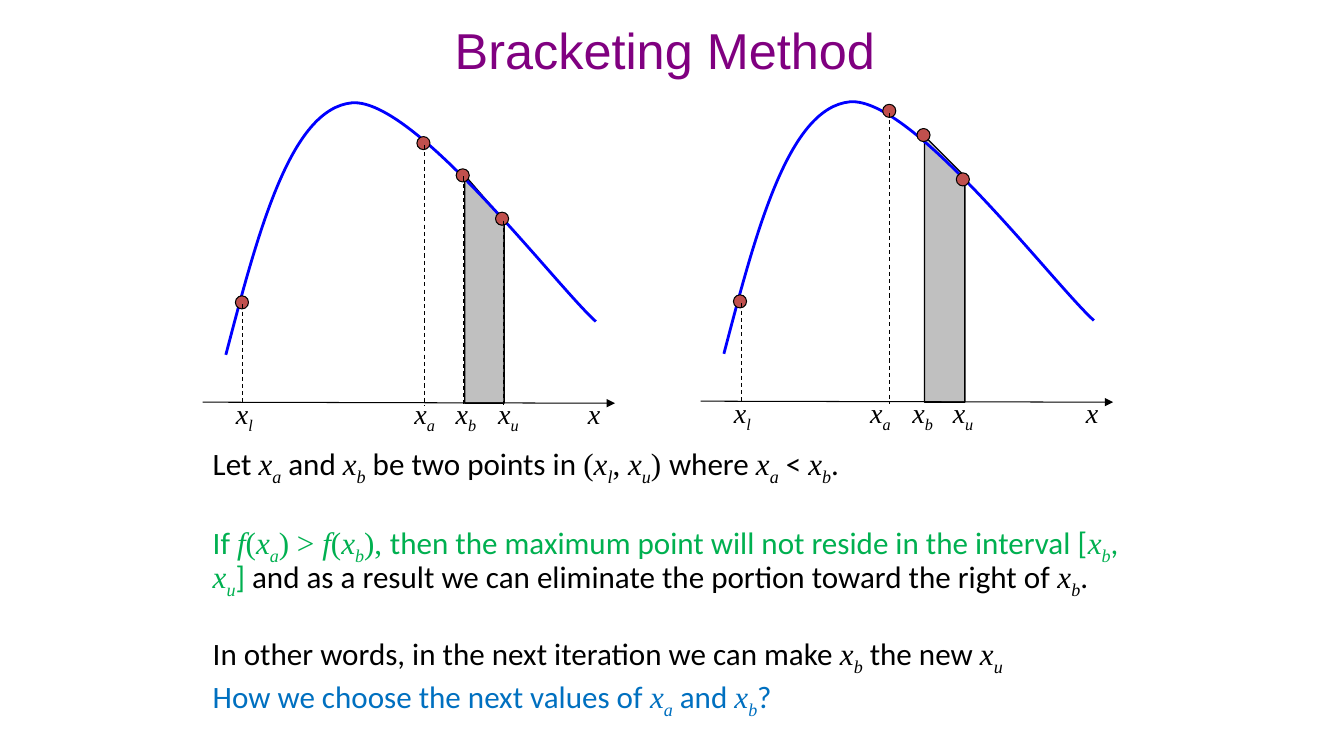
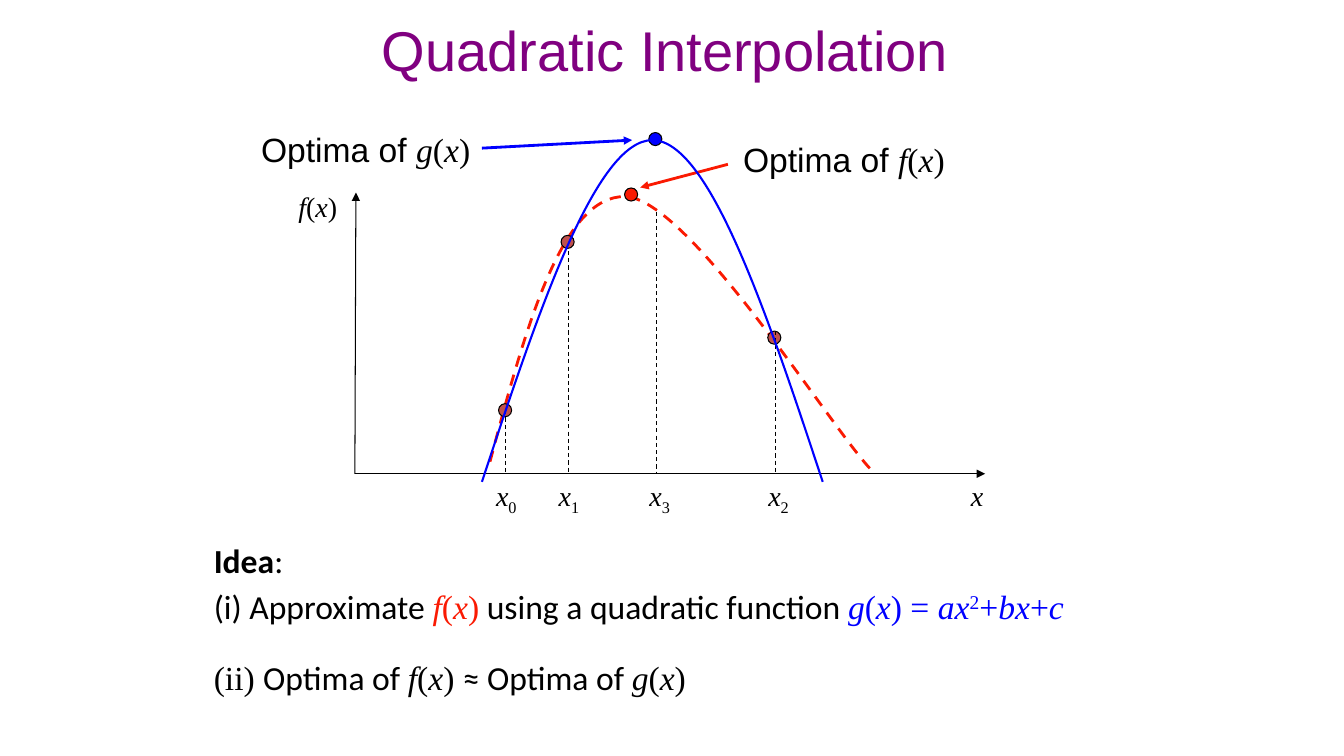
"""Build two slides on bracketing and quadratic interpolation."""
import itertools

import lxml.etree
import pptx
import pptx.dml.color
import pptx.enum.dml
import pptx.enum.shapes
import pptx.enum.text
import pptx.oxml.ns
import pptx.util

SANS, BODY, MATH = "Arial", "Calibri", "Times New Roman"
BLACK, PURPLE, GREY = "000000", "800080", "C0C0C0"
BLUE, RED, BRICK = "0000FF", "FA1A02", "C0504D"
GREEN, SKY = "00B050", "0070C0"
DOT = 0.13
TITLE_BOX = (2.18, 0.21, 8.83, 0.55)

BRACKET_BODY = [
    (0.7, 10, [("Let $x_a$ and $x_b$ be two points in $(x_l, x_u) $where $x_a$ < $x_b$.", BLACK)]),
    (0.8, 33, [("If $f(x_a) > f(x_b), $then the maximum point will not reside in the interval "
                "[$x_b$, $x_u$]", GREEN),
               (" and as a result we can eliminate the portion toward the right of $x_b$.", BLACK)]),
    (0.7, 33, [("In other words, in the next iteration we can make $x_b$ the new $x_u$", BLACK)]),
    (0.7, 10, [("How we choose the next values of $x_a$ and $x_b$?", SKY)]),
]
BRACKET_CURVE = [(2.24, 3.52), (2.56, 2.3), (2.88, 1.08), (3.49, 1.02),
                 (4.11, 0.97), (5.51, 2.83), (5.91, 3.19)]
BRACKET_PLOTS = [
    dict(shift=(0, 0), strip=[(4.61, 4), (4.61, 1.74), (5, 2.19), (5, 4)],
         dots=[(2.4, 3), (4.2, 1.42), (4.59, 1.74), (4.98, 2.17)],
         drops=[(2.41, 3.02), (4.21, 1.44), (4.6, 1.75), (4.99, 2.19)],
         labels=[("x_l", 2.34), ("x_a", 4.11), ("x_b", 4.52), ("x_u", 4.94), ("x", 5.83)]),
    dict(shift=(4.94, -0.01), strip=[(9.17, 3.99), (9.17, 1.35), (9.57, 1.75), (9.57, 3.99)],
         dots=[(7.34, 2.99), (8.82, 1.1), (9.16, 1.34), (9.55, 1.78)],
         drops=[(7.35, 3.01), (8.82, 1.12)],
         labels=[("x_l", 7.28), ("x_a", 8.63), ("x_b", 9.05), ("x_u", 9.45), ("x", 10.77)]),
]

QUADRATIC_BODY = [
    (0.8, 10, [("Idea", BLACK, True), (":", BLACK)]),
    (0.8, 10, [("(i) Approximate ", BLACK), ("$f(x)$", RED),
               (" using a quadratic function ", BLACK), ("$g(x) = ax^2+bx+c$", BLUE)]),
    (0.8, 28, [("$|(ii) |$Optima of $f(x) $≈ Optima of $g(x)$", BLACK)]),
]
F_CURVE = [(4.86, 4.58), (5.21, 3.26), (5.57, 1.94), (6.2, 1.95),
           (6.83, 1.97), (8.23, 4.23), (8.64, 4.66)]
G_CURVE = [(4.78, 4.78), (5.34, 3.08), (5.91, 1.39), (6.47, 1.39),
           (7.03, 1.39), (7.6, 3.08), (8.16, 4.78)]
QUADRATIC_DOTS = [(5.01, 4.07, BRICK), (5.63, 2.4, BRICK), (6.26, 1.93, RED),
                  (7.68, 3.35, BRICK), (6.5, 1.38, BLUE)]
QUADRATIC_DROPS = [(5.01, 4.07), (5.64, 2.49), (6.51, 2.1), (7.69, 3.28)]
QUADRATIC_LABELS = [("x_0", 4.92), ("x_1", 5.54), ("x_3", 6.44), ("x_2", 7.62), ("x", 9.63)]
CAPTIONS = [("Optima of $g(x)$", (2.59, 1.28), (4.78, 1.47), (6.27, 1.39), BLUE),
            ("Optima of $f(x)$", (7.37, 1.38), (7.22, 1.63), (6.35, 1.86), RED)]


def rgb(value):
    return pptx.dml.color.RGBColor.from_string(value)


def inches(*values):
    return [pptx.util.Inches(v) for v in values]


def styled(text):
    """Yield characters with (math, italic, baseline): $ math, | upright, _ sub, ^ super."""
    math, upright, base = False, False, 0
    for ch in text:
        if ch == "$":
            math = not math
        elif ch == "|":
            upright = not upright
        elif math and ch in "_^":
            base = -25000 if ch == "_" else 30000
        else:
            yield ch, (math, math and not upright and ch.isalpha(), base)
            base = 0


def add_runs(p, text, size, font, color=BLACK, bold=False):
    for (math, italic, base), group in itertools.groupby(styled(text), key=lambda c: c[1]):
        r = p.add_run()
        r.text = "".join(ch for ch, _ in group)
        r.font.name = MATH if math else font
        r.font.size = pptx.util.Pt(size)
        r.font.italic, r.font.bold = italic, bold
        r.font.color.rgb = rgb(color)
        if base:
            r._r.get_or_add_rPr().set("baseline", str(base))


def place(sp, box):
    sp.left, sp.top, sp.width, sp.height = inches(*box)
    sp.text_frame.auto_size = pptx.enum.text.MSO_AUTO_SIZE.NONE


def add_slide(prs, title, title_size, body_box, body_size, paragraphs):
    slide = prs.slides.add_slide(prs.slide_layouts[1])
    heading, body = slide.shapes.title, slide.placeholders[1]
    place(heading, TITLE_BOX)
    heading.text_frame.vertical_anchor = pptx.enum.text.MSO_ANCHOR.MIDDLE
    p = heading.text_frame.paragraphs[0]
    p.alignment = pptx.enum.text.PP_ALIGN.CENTER
    add_runs(p, title, title_size, SANS, PURPLE)
    place(body, body_box)
    tf = body.text_frame
    for i, (spacing, before, segments) in enumerate(paragraphs):
        p = tf.add_paragraph() if i else tf.paragraphs[0]
        p.line_spacing, p.space_before = spacing, pptx.util.Pt(before)
        pPr = p._p.get_or_add_pPr()
        pPr.set("marL", "0")
        pPr.set("indent", "0")
        lxml.etree.SubElement(pPr, pptx.oxml.ns.qn("a:buNone"))
        for text, *style in segments:
            add_runs(p, text, body_size, BODY, *style)
    return slide


def set_line(line, color, width, dashed=False):
    line.color.rgb = rgb(color)
    line.width = pptx.util.Pt(width)
    if dashed:
        line.dash_style = pptx.enum.dml.MSO_LINE.DASH


def add_line(slide, start, end, color=BLACK, width=0.75, dashed=False, arrow=False):
    c = slide.shapes.add_connector(pptx.enum.shapes.MSO_CONNECTOR.STRAIGHT,
                                   *inches(*start, *end))
    set_line(c.line, color, width, dashed)
    if arrow:
        tail = lxml.etree.SubElement(c.line._get_or_add_ln(), pptx.oxml.ns.qn("a:tailEnd"))
        tail.set("type", "triangle")
    lxml.etree.SubElement(c._element.spPr, pptx.oxml.ns.qn("a:effectLst"))


def add_outline(slide, points, closed):
    start, *rest = [inches(*pt) for pt in points]
    builder = slide.shapes.build_freeform(*start)
    builder.add_line_segments(rest, close=closed)
    sp = builder.convert_to_shape()
    sp.shadow.inherit = False
    return sp


def add_strip(slide, points):
    sp = add_outline(slide, points, True)
    sp.fill.solid()
    sp.fill.fore_color.rgb = rgb(GREY)
    set_line(sp.line, BLACK, 1)


def add_curve(slide, points, color, width, dashed=False):
    """Draw a Bezier curve through a start point and triples of control points."""
    sp = add_outline(slide, points, False)
    sp.fill.background()
    set_line(sp.line, color, width, dashed)
    geom = sp._element.find(".//" + pptx.oxml.ns.qn("a:path"))
    steps = geom.findall(pptx.oxml.ns.qn("a:lnTo"))
    for i in range(0, len(steps), 3):
        bezier = lxml.etree.SubElement(geom, pptx.oxml.ns.qn("a:cubicBezTo"))
        for step in steps[i:i + 3]:
            bezier.append(step[0])
            geom.remove(step)


def add_dot(slide, x, y, color=BRICK):
    sp = slide.shapes.add_shape(pptx.enum.shapes.MSO_SHAPE.OVAL,
                                *inches(x - DOT / 2, y - DOT / 2, DOT, DOT))
    sp.shadow.inherit = False
    sp.fill.solid()
    sp.fill.fore_color.rgb = rgb(color)
    set_line(sp.line, BLACK, 0.75)


def add_label(slide, text, x, y, size=20, width=0.5):
    sp = slide.shapes.add_textbox(*inches(x, y, width, size / 60))
    tf = sp.text_frame
    tf.word_wrap = False
    tf.margin_left = tf.margin_right = tf.margin_top = tf.margin_bottom = 0
    add_runs(tf.paragraphs[0], text, size, SANS)


def add_axis_marks(slide, drops, labels, axis_y, label_y):
    for x, y in drops:
        add_line(slide, (x, y), (x, axis_y), dashed=True)
    for name, x in labels:
        add_label(slide, f"${name}$", x, label_y)


def build_bracketing(prs):
    slide = add_slide(prs, "Bracketing Method", 36, (2.01, 4.43, 9.37, 2.52), 22.2, BRACKET_BODY)
    for plot in BRACKET_PLOTS:
        dx, dy = plot["shift"]
        add_strip(slide, plot["strip"])
        add_line(slide, (2.01 + dx, 3.99 + dy), (6.1 + dx, 4 + dy), arrow=True)
        add_curve(slide, [(x + dx, y + dy) for x, y in BRACKET_CURVE], BLUE, 2)
        for dot in plot["dots"]:
            add_dot(slide, *dot)
        add_axis_marks(slide, plot["drops"], plot["labels"], 4.02 + dy, 3.93 + dy)


def build_quadratic(prs):
    slide = add_slide(prs, "Quadratic Interpolation", 40, (2.02, 5.38, 9.37, 1.6), 24,
                      QUADRATIC_BODY)
    origin = (3.52, 4.7)
    for end in [(9.77, 4.7), (3.53, 1.91)]:
        add_line(slide, origin, end, arrow=True)
    add_curve(slide, F_CURVE, RED, 2, dashed=True)
    for dot in QUADRATIC_DOTS:
        add_dot(slide, *dot)
    add_axis_marks(slide, QUADRATIC_DROPS, QUADRATIC_LABELS, 4.7, 4.75)
    add_label(slide, "$f(x)$", 2.96, 1.88)
    for text, at, start, end, color in CAPTIONS:
        add_label(slide, text, *at, size=24, width=2.1)
        add_line(slide, start, end, color, 2, arrow=True)
    add_curve(slide, G_CURVE, BLUE, 1.5)


def main():
    prs = pptx.Presentation()
    prs.slide_width, prs.slide_height = inches(13.33, 7.5)
    build_bracketing(prs)
    build_quadratic(prs)
    prs.save("out.pptx")


if __name__ == "__main__":
    main()
